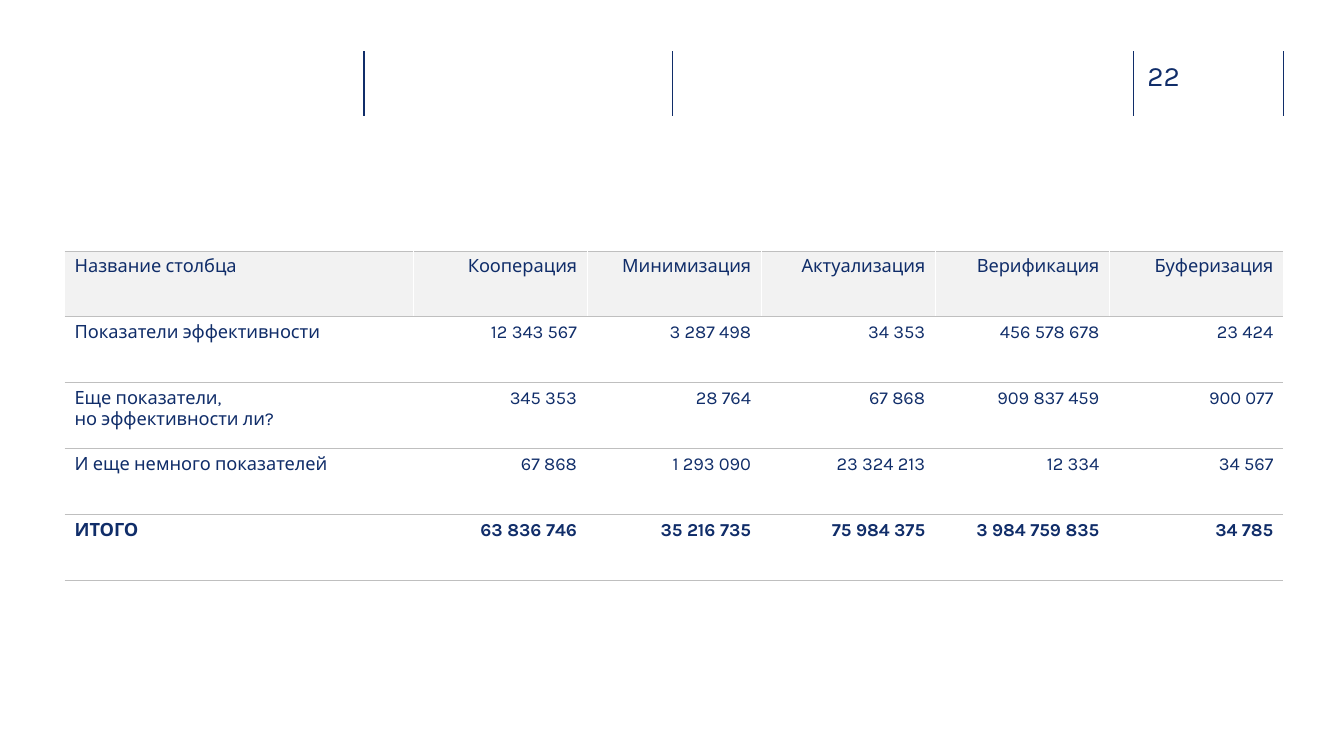
from dataclasses import dataclass

from lxml import etree
from pptx import Presentation
from pptx import util as u
from pptx.dml.color import RGBColor
from pptx.enum import shapes, text
from pptx.oxml import ns


@dataclass(frozen=True)
class Theme:
    font: str = "Karla"
    navy: str = "102D69"
    header_fill: str = "F2F2F2"
    row_rule: str = "BFBFBF"
    column_rule: str = "FFFFFF"
    page_size: int = 20
    table_size: int = 13
    divider_width: float = 1
    row_rule_width: float = 0.75
    column_rule_width: float = 0.25


THEME = Theme()

ROWS = [
    ["Название столбца", "Кооперация", "Минимизация", "Актуализация", "Верификация", "Буферизация"],
    ["Показатели эффективности", "12 343 567", "3 287 498", "34 353", "456 578 678", "23 424"],
    ["Еще показатели, \vно эффективности ли?", "345 353", "28 764", "67 868", "909 837 459", "900 077"],
    ["И еще немного показателей", "67 868", "1 293 090", "23 324 213", "12 334", "34 567"],
    ["ИТОГО", "63 836 746", "35 216 735", "75 984 375", "3 984 759 835", "34 785"],
]


def style_font(paragraph, size, bold=False):
    paragraph.font.name = THEME.font
    paragraph.font.size = u.Pt(size)
    paragraph.font.bold = bold
    paragraph.font.color.rgb = RGBColor.from_string(THEME.navy)


def add_border(cell, side, color, width):
    properties = cell._tc.get_or_add_tcPr()
    border = etree.SubElement(properties, ns.qn(f"a:ln{side}"), w=str(u.Pt(width)))
    if color:
        fill = etree.SubElement(border, ns.qn("a:solidFill"))
        etree.SubElement(fill, ns.qn("a:srgbClr"), val=color)
    else:
        etree.SubElement(border, ns.qn("a:noFill"))


def add_header(slide, left, top, width, height):
    for offset in (2.97, 6.03, 10.6, width):
        x = u.Inches(left + offset)
        divider = slide.shapes.add_connector(
            shapes.MSO_CONNECTOR.STRAIGHT, x, u.Inches(top), x, u.Inches(top + height))
        divider.line.color.rgb = RGBColor.from_string(THEME.navy)
        divider.line.width = u.Pt(THEME.divider_width)
        etree.SubElement(divider._element.spPr, ns.qn("a:effectLst"))

    page_number = slide.shapes.add_textbox(
        u.Inches(left + 10.74), u.Inches(top + 0.07), u.Inches(0.73), u.Inches(0.34))
    frame = page_number.text_frame
    frame.margin_left = frame.margin_top = frame.margin_right = frame.margin_bottom = 0
    frame.word_wrap = True
    frame.text = "22"
    style_font(frame.paragraphs[0], THEME.page_size)


def add_indicators(slide, left, top, width, height):
    last_row, last_column = len(ROWS) - 1, len(ROWS[0]) - 1
    table = slide.shapes.add_table(
        len(ROWS), len(ROWS[0]),
        u.Inches(left), u.Inches(top), u.Inches(width), u.Inches(height)).table
    table.first_row = table.horz_banding = False

    label_width = width * 2 / 7
    for index, column in enumerate(table.columns):
        column.width = u.Inches((width - label_width) / last_column if index else label_width)

    for row_index, values in enumerate(ROWS):
        table.rows[row_index].height = u.Inches(height / len(ROWS))
        for column_index, value in enumerate(values):
            cell = table.cell(row_index, column_index)
            cell.text = value
            paragraph = cell.text_frame.paragraphs[0]
            paragraph.alignment = text.PP_ALIGN.RIGHT if column_index else text.PP_ALIGN.LEFT
            style_font(paragraph, THEME.table_size, row_index == last_row)

            left_rule = THEME.column_rule if column_index else None
            right_rule = THEME.column_rule if column_index < last_column else None
            add_border(cell, "L", left_rule, THEME.column_rule_width)
            add_border(cell, "R", right_rule, THEME.column_rule_width)
            for side in "TB":
                add_border(cell, side, THEME.row_rule, THEME.row_rule_width)

            if row_index == 0:
                cell.fill.solid()
                cell.fill.fore_color.rgb = RGBColor.from_string(THEME.header_fill)
            else:
                cell.fill.background()


def main():
    deck = Presentation()
    deck.slide_width, deck.slide_height = u.Inches(13.33), u.Inches(7.5)
    slide = deck.slides.add_slide(deck.slide_layouts[6])
    left, width = 0.64, 12.09
    add_header(slide, left, 0.51, width, 0.64)
    add_indicators(slide, left, 2.49, width, 3.27)
    deck.save("out.pptx")


if __name__ == "__main__":
    main()
